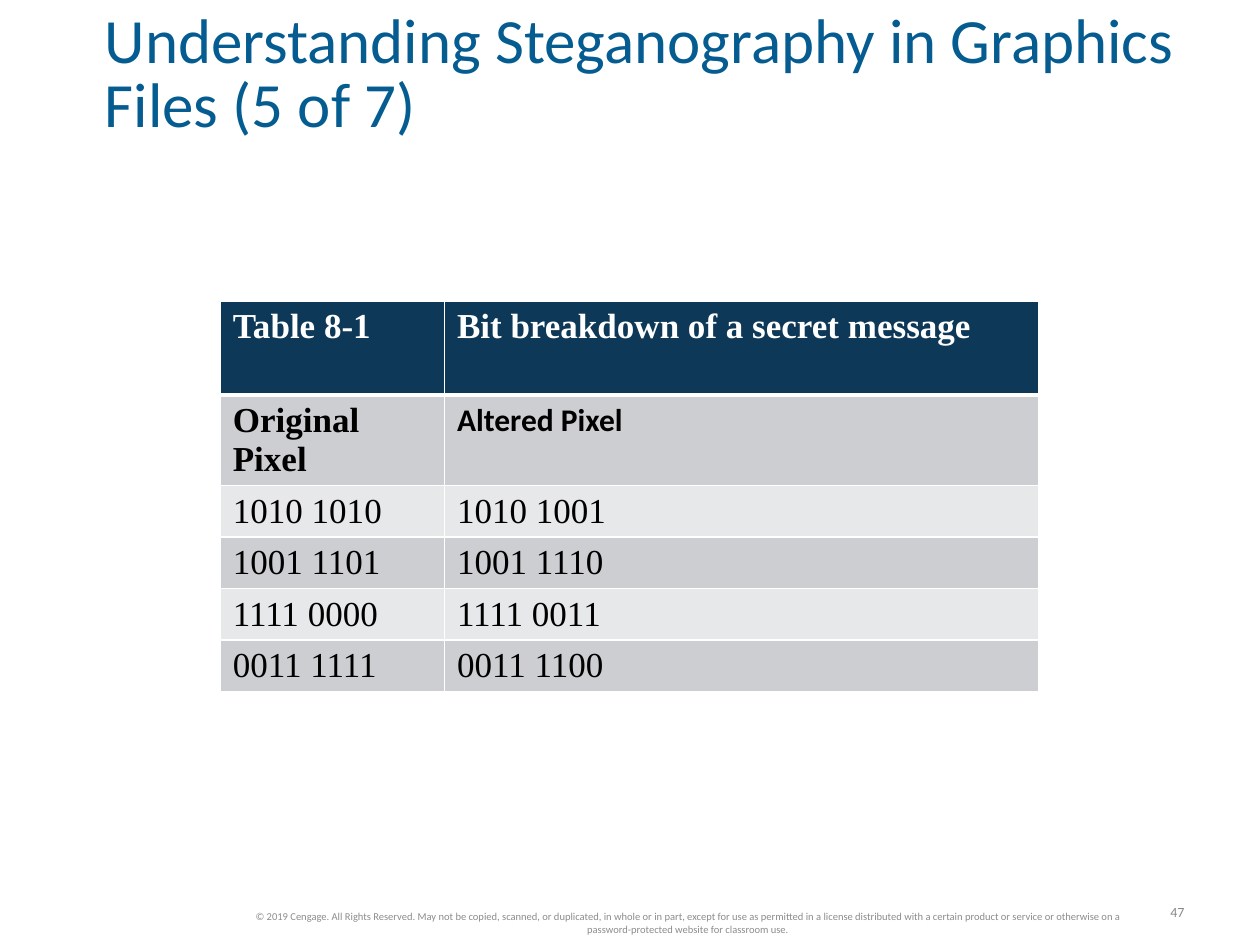
"""Build the steganography slide with its bit breakdown table."""
from dataclasses import dataclass

from lxml.etree import SubElement
from pptx import Presentation
from pptx.dml.color import RGBColor
from pptx.enum.text import MSO_ANCHOR, PP_ALIGN
from pptx.oxml.ns import qn
from pptx.util import Cm, Pt

WHITE = RGBColor(0xFF, 0xFF, 0xFF)
BLACK = RGBColor(0x00, 0x00, 0x00)
TITLE_BLUE = RGBColor(0x05, 0x5C, 0x91)
NAVY = RGBColor(0x0D, 0x38, 0x57)
DARK_BAND = RGBColor(0xCC, 0xCE, 0xD1)
LIGHT_BAND = RGBColor(0xE7, 0xE8, 0xEA)
NUMBER_GRAY = RGBColor(0x89, 0x89, 0x89)
NOTICE_GRAY = RGBColor(0x8C, 0x8C, 0x8C)
SANS = "Calibri"
SERIF = "Times New Roman"


@dataclass
class BitRow:
    original: str
    altered: str
    height: float = 1.03
    bold: bool = False
    color: RGBColor = BLACK
    altered_font: str = SERIF
    altered_size: float = 20


ROWS = [
    BitRow("Table 8-1", "Bit breakdown of a secret message", 1.89, True, WHITE),
    BitRow("Original Pixel", "Altered Pixel", 1.83, True, altered_font=SANS, altered_size=18),
    BitRow("1010 1010", "1010 1001"),
    BitRow("1001 1101", "1001 1110"),
    BitRow("1111 0000", "1111 0011"),
    BitRow("0011 1111", "0011 1100"),
]
COLUMN_WIDTHS = (4.52, 11.99)


def write(tf, text: str, *, size: float, color: RGBColor, font: str = SANS,
          bold: bool = False, align=PP_ALIGN.LEFT, spacing: float = 1.0) -> None:
    """Write one formatted paragraph."""
    p = tf.paragraphs[0]
    p.alignment = align
    p.line_spacing = spacing
    r = p.add_run()
    r.text = text
    r.font.name = font
    r.font.size = Pt(size)
    r.font.bold = bold
    r.font.color.rgb = color


def add_text(s, box: tuple, text: str, wrap: bool, **fmt) -> None:
    """Add a text box centred vertically."""
    tf = s.shapes.add_textbox(*map(Cm, box)).text_frame
    tf.word_wrap = wrap
    tf.vertical_anchor = MSO_ANCHOR.MIDDLE
    write(tf, text, **fmt)


def set_borders(cell, top: float, bottom: float) -> None:
    """Draw white borders, with widths in points."""
    tcPr = cell._tc.get_or_add_tcPr()
    for side, width in (("L", 1), ("R", 1), ("T", top), ("B", bottom)):
        ln = SubElement(tcPr, qn(f"a:ln{side}"), w=str(Pt(width)))
        fill = SubElement(ln, qn("a:solidFill"))
        SubElement(fill, qn("a:srgbClr"), val=str(WHITE))


def add_bit_table(s, rows: list[BitRow]) -> None:
    """Add the table with a dark header and banded rows."""
    height = sum(row.height for row in rows)
    table = s.shapes.add_table(len(rows), 2, Cm(4.44), Cm(6.07),
                               Cm(sum(COLUMN_WIDTHS)), Cm(height)).table
    for column, width in zip(table.columns, COLUMN_WIDTHS):
        column.width = Cm(width)
    for i, row in enumerate(rows):
        table.rows[i].height = Cm(row.height)
        band = NAVY if i == 0 else DARK_BAND if i % 2 else LIGHT_BAND
        columns = ((row.original, SERIF, 20),
                   (row.altered, row.altered_font, row.altered_size))
        for j, (text, font, size) in enumerate(columns):
            cell = table.cell(i, j)
            set_borders(cell, 3 if i == 1 else 1, 3 if i == 0 else 1)
            cell.fill.solid()
            cell.fill.fore_color.rgb = band
            write(cell.text_frame, text, size=size, color=row.color,
                  font=font, bold=row.bold)


def add_title(s, text: str) -> None:
    """Place and format the title placeholder."""
    sp = s.shapes.title
    sp.left, sp.top, sp.width, sp.height = map(Cm, (2.11, 0.23, 22.3, 2.62))
    tf = sp.text_frame
    tf.margin_left = tf.margin_top = tf.margin_right = tf.margin_bottom = 0
    tf.word_wrap = True
    tf.vertical_anchor = MSO_ANCHOR.MIDDLE
    write(tf, text, size=36, color=TITLE_BLUE, spacing=0.85)


def main() -> None:
    """Build and save the slide."""
    prs = Presentation()
    prs.slide_width, prs.slide_height = Cm(25.4), Cm(19.05)
    s = prs.slides.add_slide(prs.slide_layouts[5])
    add_title(s, "Understanding Steganography in Graphics Files (5 of 7)")
    add_bit_table(s, ROWS)
    add_text(s, (4.44, 18.26, 18.85, 0.69),
             "© 2019 Cengage. All Rights Reserved. May not be copied, scanned, or "
             "duplicated, in whole or in part, except for use as permitted in a license "
             "distributed with a certain product or service or otherwise on a "
             "password-protected website for classroom use.",
             True, size=6, color=NOTICE_GRAY, align=PP_ALIGN.CENTER)
    add_text(s, (23.27, 18.08, 0.86, 0.61), "47", False,
             size=8, color=NUMBER_GRAY, align=PP_ALIGN.RIGHT)
    prs.save("out.pptx")


if __name__ == "__main__":
    main()
